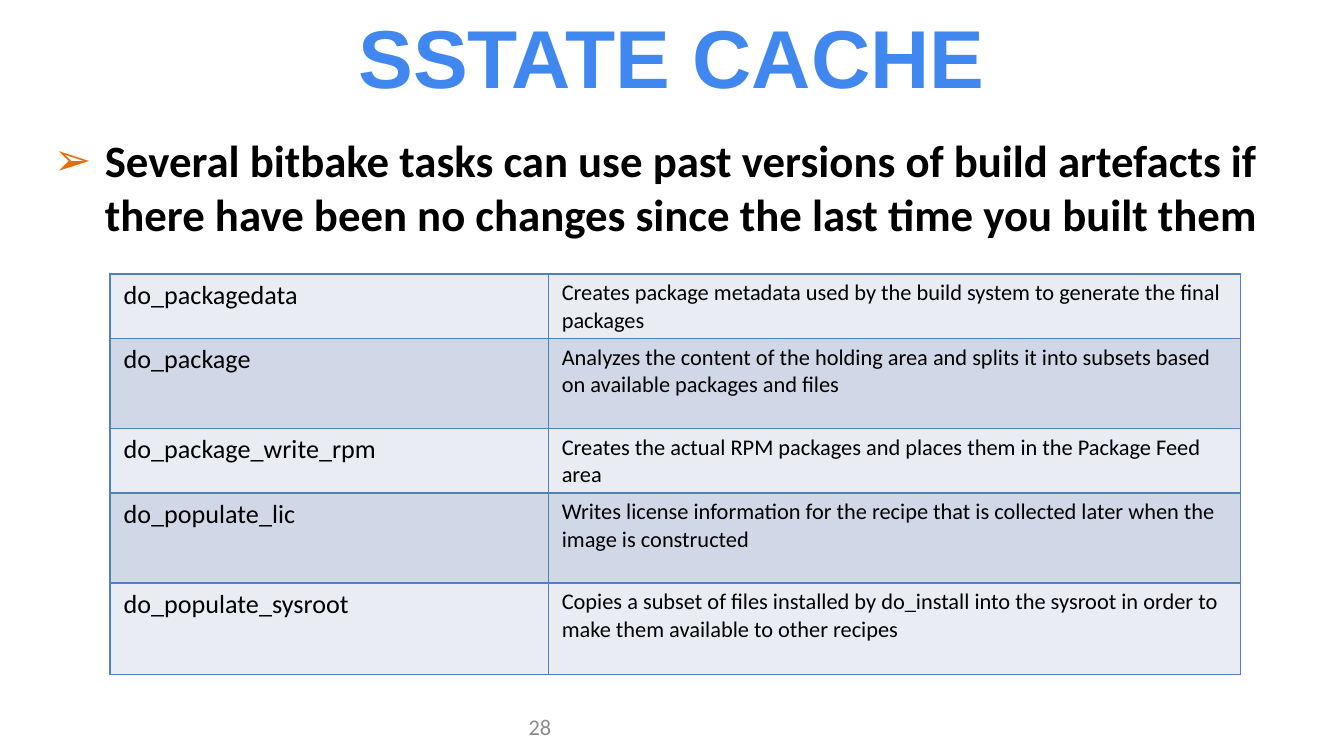
"""Build the sstate cache slide with its task table."""
from lxml.etree import SubElement as Sub
from pptx import Presentation
from pptx.dml.color import RGBColor
from pptx.enum.text import MSO_ANCHOR as Anchor, MSO_AUTO_SIZE as Fit, PP_ALIGN as Align
from pptx.oxml.ns import qn
from pptx.util import Inches, Pt

TASKS = [
    ("do_packagedata", "Creates package metadata used by the build system to generate the final packages", 0.47),
    ("do_package", "Analyzes the content of the holding area and splits it into subsets based on available packages and files", 0.67),
    ("do_package_write_rpm", "Creates the actual RPM packages and places them in the Package Feed area", 0.47),
    ("do_populate_lic", "Writes license information for the recipe that is collected later when the image is constructed", 0.67),
    ("do_populate_sysroot", "Copies a subset of files installed by do_install into the sysroot in order to make them available to other recipes", 0.68),
]


def rgb(code):
    return RGBColor.from_string(code)


def write(frame, text, size=12, font="Calibri", color="000000", bold=False, align=Align.LEFT):
    frame.word_wrap = True
    para = frame.paragraphs[0]
    para.alignment = align
    para.space_before = Pt(0)
    run = para.add_run()
    run.text = text
    face = run.font
    face.size, face.name, face.bold = Pt(size), font, bold
    face.color.rgb = rgb(color)
    return para


def place(shape, box):
    shape.left, shape.top, shape.width, shape.height = map(Inches, box)


class Deck:
    blue = "4088EF"
    mark = "E46C0A"
    edge = "4F81BD"
    gray = "8B8B8B"
    bands = ("E9ECF3", "D0D8E7")

    def __init__(self, wide):
        self.prs = Presentation()
        self.prs.slide_width, self.prs.slide_height = Inches(wide), Inches(wide * 9 / 16)
        self.slide = self.prs.slides.add_slide(self.prs.slide_layouts[1])

    def title(self, text, box):
        shape = self.slide.shapes.title
        place(shape, box)
        frame = shape.text_frame
        frame.auto_size = Fit.NONE
        frame.vertical_anchor = Anchor.MIDDLE
        write(frame, text, size=44, font="Arial", color=self.blue, bold=True, align=Align.CENTER)

    def body(self, text, box):
        shape = self.slide.placeholders[1]
        place(shape, box)
        frame = shape.text_frame
        frame.auto_size = Fit.NONE
        frame.vertical_anchor = Anchor.TOP
        para = write(frame, text, size=24, bold=True)
        props = para._p.get_or_add_pPr()
        props.set("marL", str(Inches(0.38)))
        props.set("indent", str(-Inches(0.38)))
        tint = Sub(props, qn("a:buClr"))
        Sub(tint, qn("a:srgbClr"), val=self.mark)
        Sub(props, qn("a:buFont"), typeface="Arial")
        Sub(props, qn("a:buChar"), char="➢")

    def number(self, text, box):
        frame = self.slide.shapes.add_textbox(*map(Inches, box)).text_frame
        frame.vertical_anchor = Anchor.BOTTOM
        frame.margin_bottom = 0
        write(frame, text, color=self.gray, align=Align.RIGHT)

    def cell(self, cell, text, size, fill):
        cell.margin_left = cell.margin_right = Inches(0.1)
        cell.margin_top = cell.margin_bottom = Inches(0.04)
        props = cell._tc.get_or_add_tcPr()
        for side in ("lnL", "lnR", "lnT", "lnB"):
            line = Sub(props, qn(f"a:{side}"), w=str(Pt(0.96)))
            Sub(Sub(line, qn("a:solidFill")), qn("a:srgbClr"), val=self.edge)
        cell.fill.solid()
        cell.fill.fore_color.rgb = rgb(fill)
        write(cell.text_frame, text, size=size)

    def table(self, rows, left, top, widths):
        high = sum(row[-1] for row in rows)
        box = map(Inches, (left, top, sum(widths), high))
        grid = self.slide.shapes.add_table(len(rows), len(widths), *box).table
        grid.first_row = False
        for col, wide in zip(grid.columns, widths):
            col.width = Inches(wide)
        for i, (task, note, tall) in enumerate(rows):
            grid.rows[i].height = Inches(tall)
            fill = self.bands[i % 2]
            self.cell(grid.cell(i, 0), task, 14, fill)
            self.cell(grid.cell(i, 1), note, 12, fill)


def main():
    deck = Deck(10)
    deck.title("SSTATE CACHE", (0.5, 0.07, 9, 0.69))
    deck.body(
        "Several bitbake tasks can use past versions of build artefacts if "
        "there have been no changes since the last time you built them",
        (0.3, 0.94, 9.41, 1.25),
    )
    deck.number("28", (3.17, 5.21, 1.03, 0.3))
    deck.table(TASKS, 0.82, 2.04, (3.26, 5.15))
    deck.prs.save("out.pptx")


if __name__ == "__main__":
    main()
